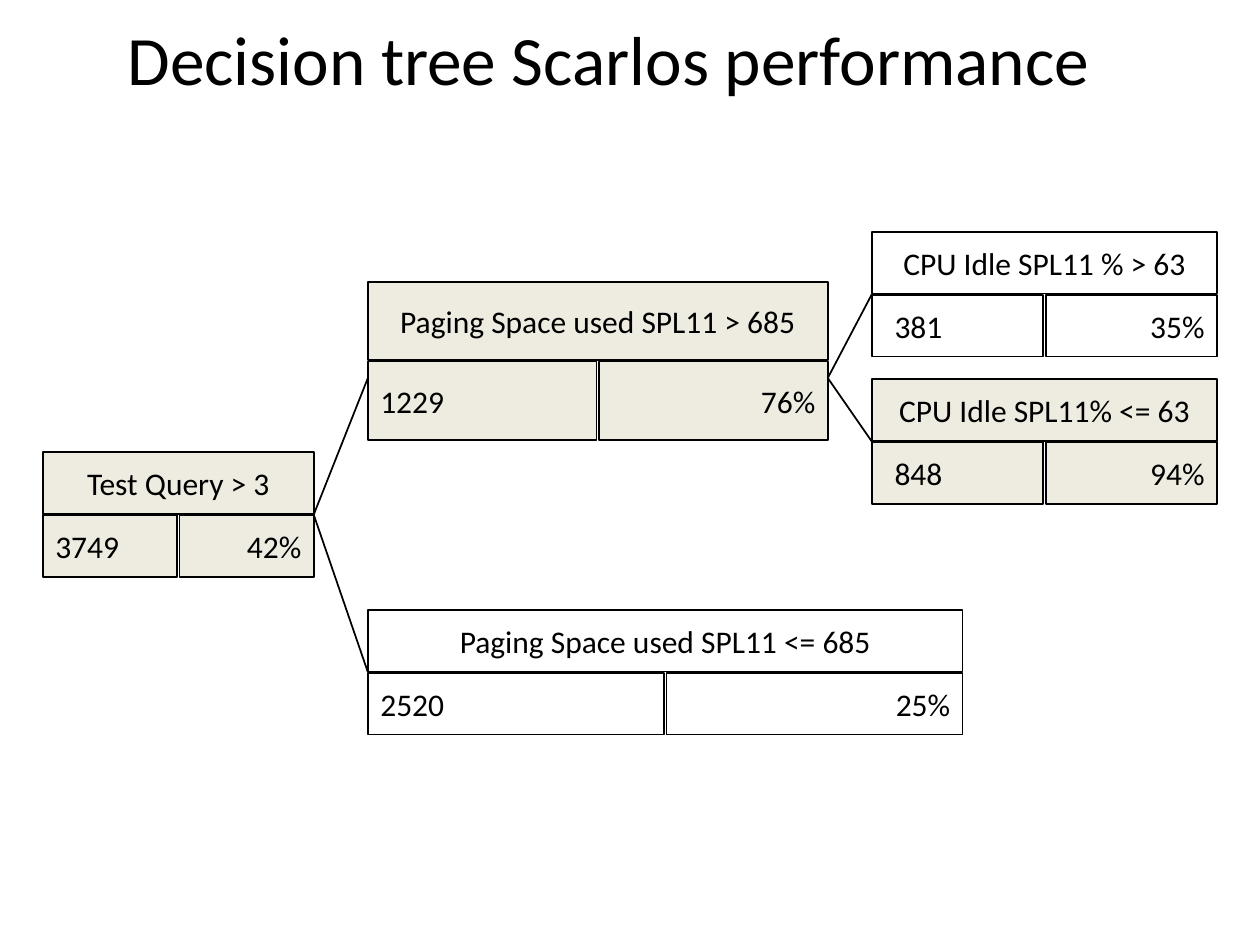
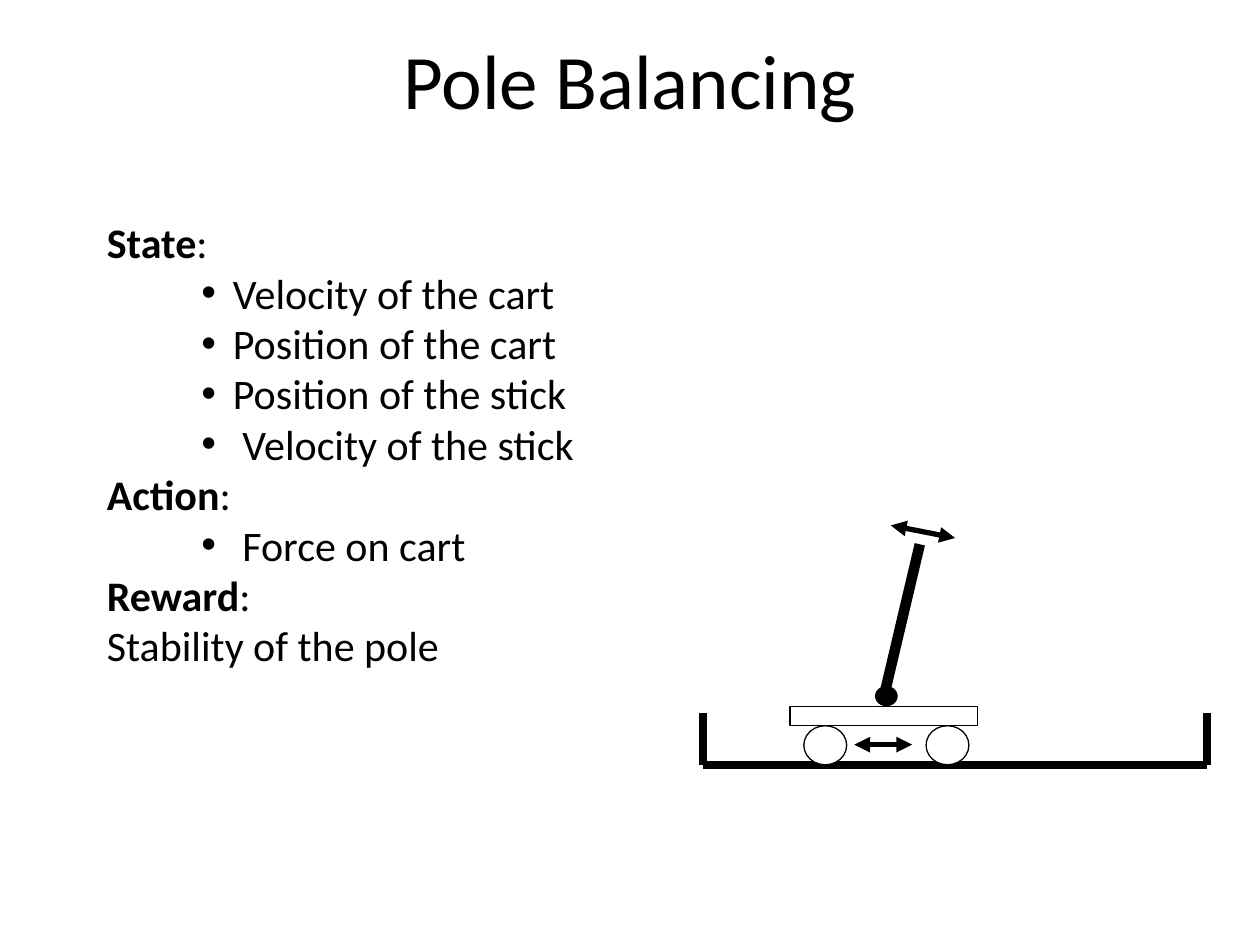
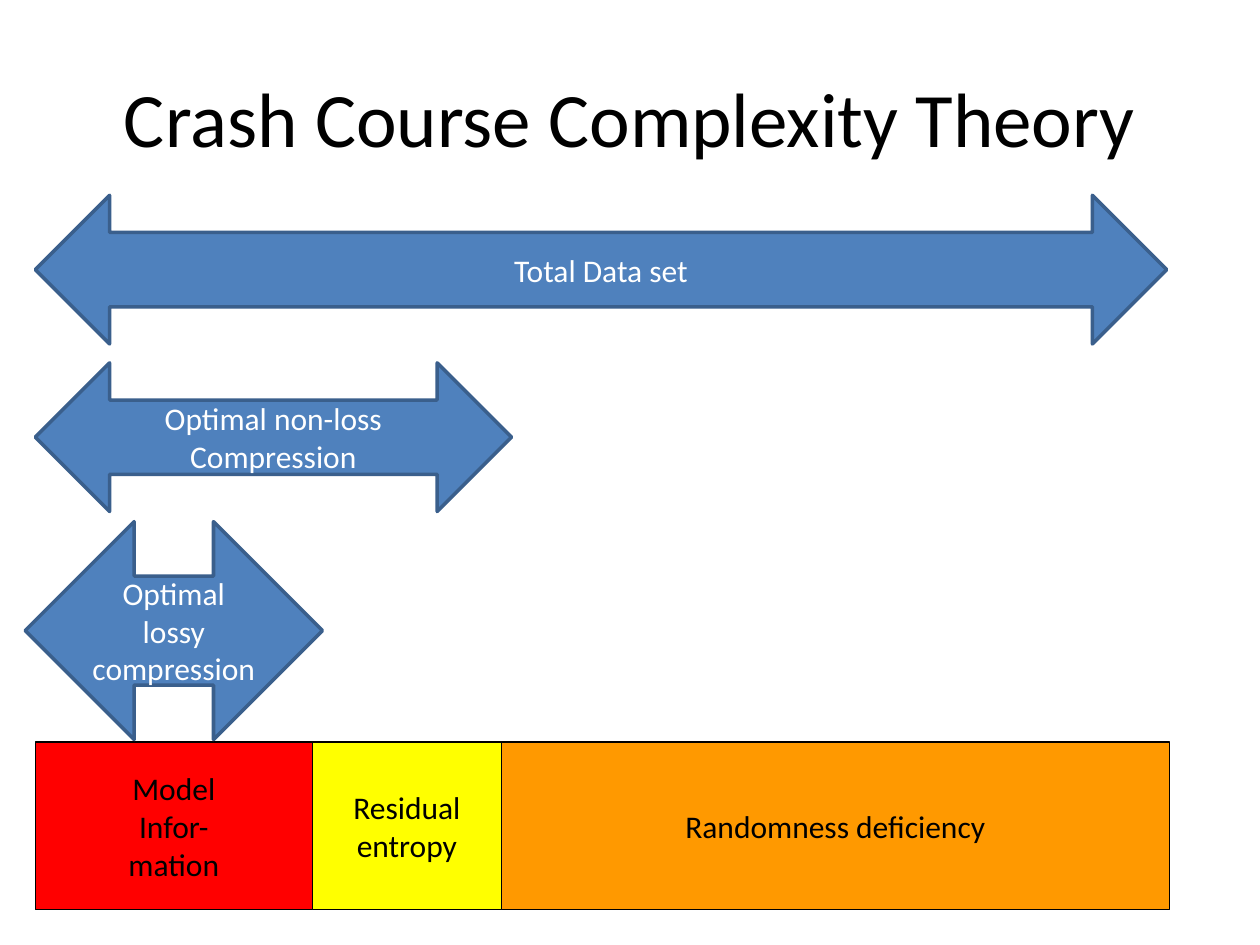
from dataclasses import dataclass
from itertools import accumulate

from lxml.etree import SubElement
from pptx import Presentation
from pptx.dml.color import RGBColor
from pptx.enum.shapes import MSO_CONNECTOR, MSO_SHAPE
from pptx.enum.text import MSO_ANCHOR, MSO_AUTO_SIZE, PP_ALIGN
from pptx.oxml.ns import qn
from pptx.util import Emu, Inches, Pt

COLUMNS, ROWS = 100, 75
TITLE_ONLY = 5


@dataclass(frozen=True)
class Theme:
    font: str = "Calibri"
    bullet_font: str = "Arial"
    ink: str = "000000"
    paper: str = "FFFFFF"
    followed: str = "EEECE1"
    arrow: str = "4F81BD"
    arrow_edge: str = "3A5F8C"
    model: str = "FF0000"
    entropy: str = "FFFF00"
    randomness: str = "FF9900"
    title_size: float = 44
    body_size: float = 24
    label_size: float = 18
    thin: float = 0.75
    rule: float = 1
    arrow_rule: float = 2


@dataclass(frozen=True)
class Node:
    left: float
    right: float
    port: float


def set_all(target, values):
    for name, value in values.items():
        setattr(target, name, value)


class Deck:
    """Holds the theme and the slide being built; lengths are grid columns and rows."""

    def __init__(self, theme):
        self.theme = theme
        self.show = Presentation()
        set_all(self.show, {"slide_width": Inches(10), "slide_height": Inches(7.5)})
        self.slide = None

    def x(self, columns):
        return Emu(round(self.show.slide_width * columns / COLUMNS))

    def y(self, rows):
        return Emu(round(self.show.slide_height * rows / ROWS))

    def box(self, left, top, width, height):
        return self.x(left), self.y(top), self.x(width), self.y(height)

    def style(self, font, size, color=None, bold=False):
        set_all(font, {"name": self.theme.font, "size": Pt(size), "bold": bold})
        font.color.rgb = RGBColor.from_string(color or self.theme.ink)

    def add_slide(self, title, area, size=None):
        layout = self.show.slide_layouts[TITLE_ONLY]
        self.slide = self.show.slides.add_slide(layout)
        heading = self.slide.shapes.title
        set_all(heading, dict(zip(("left", "top", "width", "height"), self.box(*area))))
        self.fill_text(heading.text_frame, [title], size or self.theme.title_size)

    def fill_text(self, frame, lines, size, color=None, align=PP_ALIGN.CENTER):
        set_all(frame, {"word_wrap": True, "auto_size": MSO_AUTO_SIZE.NONE,
                        "vertical_anchor": MSO_ANCHOR.MIDDLE})
        frame.text = "\n".join(lines)
        for paragraph in frame.paragraphs:
            paragraph.alignment = align
            for run in paragraph.runs:
                self.style(run.font, size, color)

    def block(self, area, fill, kind=MSO_SHAPE.RECTANGLE, edge=None, weight=None,
              lines=(), color=None, align=PP_ALIGN.CENTER):
        shape = self.slide.shapes.add_shape(kind, *self.box(*area))
        shape.shadow.inherit = False
        if fill:
            shape.fill.solid()
            shape.fill.fore_color.rgb = RGBColor.from_string(fill)
        else:
            shape.fill.background()
        shape.line.color.rgb = RGBColor.from_string(edge or self.theme.ink)
        shape.line.width = Pt(weight or self.theme.thin)
        if lines:
            self.fill_text(shape.text_frame, lines, self.theme.label_size, color, align)
        return shape

    def line(self, start, end, weight, two_headed=False):
        connector = self.slide.shapes.add_connector(
            MSO_CONNECTOR.STRAIGHT, self.x(start[0]), self.y(start[1]),
            self.x(end[0]), self.y(end[1]))
        connector.line.color.rgb = RGBColor.from_string(self.theme.ink)
        connector.line.width = Pt(weight)
        if two_headed:
            outline = connector.line._get_or_add_ln()
            for tip in ("a:headEnd", "a:tailEnd"):
                SubElement(outline, qn(tip), type="triangle")
        SubElement(connector._element.spPr, qn("a:effectLst"))

    def node(self, left, top, width, rule, count, share, row=4.9, fill=None,
             count_indent=0, port_drop=0):
        """Draws a rule above its case count and success share."""
        gap_x, gap_y = 0.2, 0.1
        half = (width - gap_x) / 2
        below = top + row + gap_y
        cells = [((left, top, width, row), rule, PP_ALIGN.CENTER),
                 ((left, below, half, row), count, PP_ALIGN.LEFT),
                 ((left + half + gap_x, below, half, row), share, PP_ALIGN.RIGHT)]
        for area, label, align in cells:
            cell = self.block(area, fill, weight=self.theme.rule,
                              lines=[label], align=align)
            if label == count:
                cell.text_frame.margin_left = self.x(1 + count_indent)
        return Node(left, left + width, top + row + gap_y / 2 + port_drop)

    def branch(self, parent, children):
        for child in children:
            self.line((parent.right, parent.port), (child.left, child.port),
                      self.theme.rule)

    def outline(self, area, sections):
        """Lists (heading, points, plain closing line) sections."""
        frame = self.slide.shapes.add_textbox(*self.box(*area)).text_frame
        frame.word_wrap = True
        unused = [frame.paragraphs[0]]

        def next_paragraph():
            return unused.pop() if unused else frame.add_paragraph()

        def add_run(paragraph, words, bold=False):
            run = paragraph.add_run()
            run.text = words
            self.style(run.font, self.theme.body_size, bold=bold)

        for heading, points, closing in sections:
            paragraph = next_paragraph()
            add_run(paragraph, heading, bold=True)
            add_run(paragraph, ":")
            for point in points:
                paragraph = next_paragraph()
                paragraph.level = 2
                self.bullet(paragraph)
                add_run(paragraph, point)
            if closing:
                add_run(next_paragraph(), closing)

    def bullet(self, paragraph):
        properties = paragraph._p.get_or_add_pPr()
        properties.set("marL", str(self.x(10)))
        properties.set("indent", str(-self.x(2.5)))
        SubElement(properties, qn("a:buFont"), typeface=self.theme.bullet_font)
        SubElement(properties, qn("a:buChar"), char="•")


def add_decision_tree(deck):
    deck.add_slide("Decision tree Scarlos performance", (0.8, 0.8, 95, 7.5), 39.6)
    followed = deck.theme.followed
    query = deck.node(3.4, 35.9, 21.5, "Test Query > 3", "3749", "42%", fill=followed)
    low_paging = deck.node(29.2, 48.4, 47.2, "Paging Space used SPL11 <= 685",
                           "2520", "25%")
    high_paging = deck.node(29.2, 22.4, 36.5, "Paging Space used SPL11 > 685",
                            "1229", "76%", row=6.2, fill=followed, port_drop=1.35)
    idle = deck.node(69.2, 18.4, 27.4, "CPU Idle SPL11 % > 63", "381", "35%",
                     count_indent=0.8)
    busy = deck.node(69.2, 30.1, 27.4, "CPU Idle SPL11% <= 63", "848", "94%",
                     fill=followed, count_indent=0.8)
    deck.branch(query, [high_paging, low_paging])
    deck.branch(high_paging, [idle, busy])


def add_pole_balancing(deck):
    deck.add_slide("Pole Balancing", (7.5, 0, 85, 12.5))
    theme = deck.theme
    track_left, track_right, floor, wall_top = 55.8, 95.8, 60.7, 56.6
    deck.line((track_left, floor), (track_right, floor), 4.5)
    for wall in (track_left, track_right):
        deck.line((wall, floor), (wall, wall_top), 4.5)
    for wheel in (63.8, 73.5):
        deck.block((wheel, 57.6, 3.4, 3.1), theme.paper, MSO_SHAPE.OVAL)
    deck.block((62.7, 56.1, 14.9, 1.5), theme.paper)
    deck.line((70.1, 55.5), (73, 43.2), 6)
    deck.block((69.5, 54.5, 1.7, 1.5), theme.ink, MSO_SHAPE.OVAL)
    for start, end in (((67.8, 59.1), (72.4, 59.1)), ((70.7, 41.7), (75.8, 42.7))):
        deck.line(start, end, 3, two_headed=True)
    deck.outline((7.5, 16.7, 41.5, 36.9), [
        ("State", ["Velocity of the cart", "Position of the cart",
                   "Position of the stick", " Velocity of the stick"], None),
        ("Action", [" Force on cart"], None),
        ("Reward", [], "Stability of the pole"),
    ])


def add_complexity_theory(deck):
    deck.add_slide("Crash Course Complexity Theory", (5, 3, 90, 12.5))
    theme = deck.theme
    parts = [(22, theme.model, ["Model", "Infor-", "mation"]),
             (15, theme.entropy, ["Residual", "entropy"]),
             (53, theme.randomness, ["Randomness deficiency"])]
    lefts = accumulate((width for width, _, _ in parts), initial=2.8)
    for left, (width, fill, lines) in zip(lefts, parts):
        deck.block((left, 58.9, width, 13.3), fill, lines=lines)
    spans = [((2.8, 15.5, 89.8, 11.8), ["Total Data set"]),
             ((2.8, 28.8, 37.8, 11.8), ["Optimal non-loss", "Compression"]),
             ((2, 41.4, 23.6, 17.3), ["Optimal", "lossy compression"])]
    for area, lines in spans:
        deck.block(area, theme.arrow, MSO_SHAPE.LEFT_RIGHT_ARROW, theme.arrow_edge,
                   theme.arrow_rule, lines, theme.paper)


def main():
    deck = Deck(Theme())
    add_decision_tree(deck)
    add_pole_balancing(deck)
    add_complexity_theory(deck)
    deck.show.save("out.pptx")


if __name__ == "__main__":
    main()
